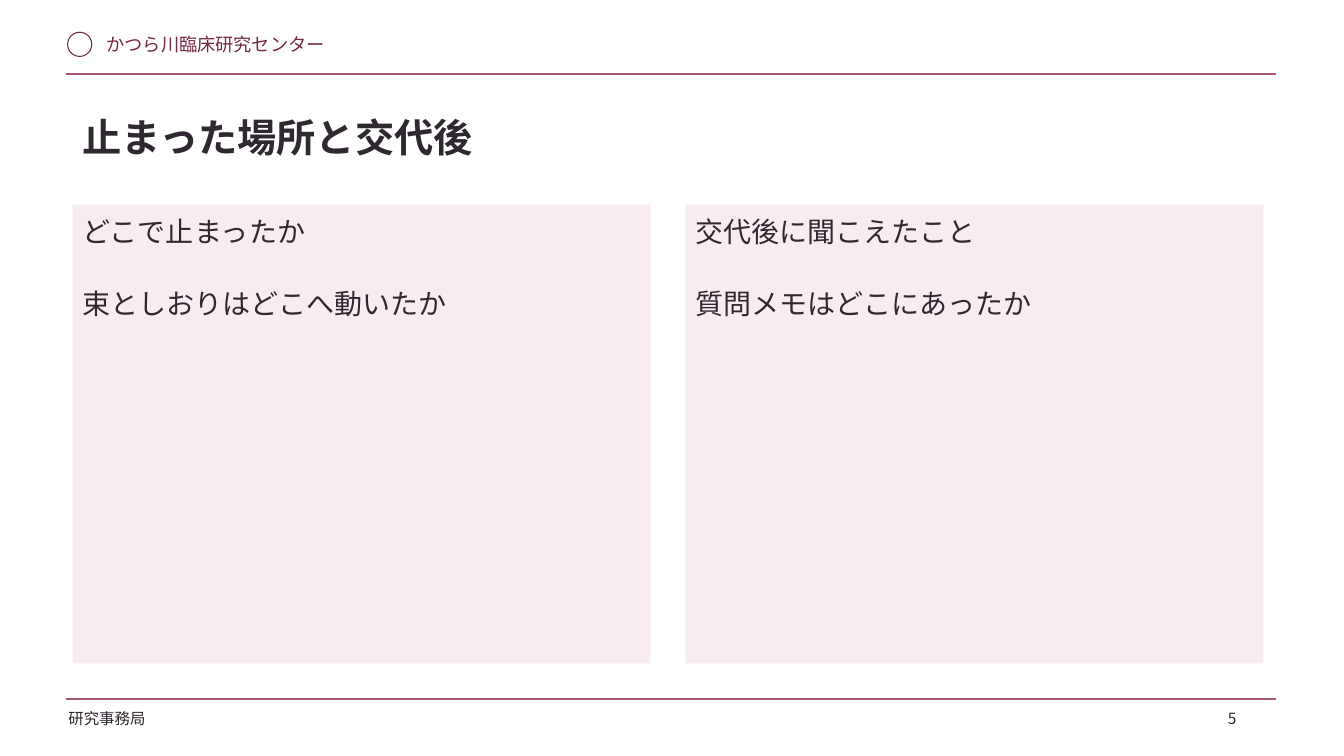
from lxml import etree
from pptx import Presentation
from pptx.dml.color import RGBColor
from pptx.enum.shapes import MSO_CONNECTOR, MSO_SHAPE
from pptx.enum.text import MSO_ANCHOR, MSO_AUTO_SIZE, PP_ALIGN
from pptx.oxml.ns import qn
from pptx.util import Inches, Pt

WINE = RGBColor(0x74, 0x27, 0x47)
ROSE = RGBColor(0xAB, 0x58, 0x6C)
BLUSH = RGBColor(0xF7, 0xED, 0xF1)
INK = RGBColor(0x30, 0x28, 0x30)
FONT = "Noto Sans CJK JP"
TOP = MSO_ANCHOR.TOP
LEFT = PP_ALIGN.LEFT
NO_AUTOFIT = MSO_AUTO_SIZE.NONE
OVAL = MSO_SHAPE.OVAL
STRAIGHT = MSO_CONNECTOR.STRAIGHT
TWO_CONTENT = 3
PANEL_LEFT, PANEL_STEP = 5.4, 45.6
PANELS = [
    ["どこで止まったか", "束としおりはどこへ動いたか"],
    ["交代後に聞こえたこと", "質問メモはどこにあったか"],
]


class SlideBuilder:
    """Draws styled elements on one slide, placed in percent of its size."""

    def __init__(self, deck):
        self.deck = deck
        self.page = deck.slides.add_slide(deck.slide_layouts[TWO_CONTENT])

    def area(self, left, top, width, height):
        across, down = self.deck.slide_width / 100, self.deck.slide_height / 100
        return [int(left * across), int(top * down), int(width * across), int(height * down)]

    def fill_text(self, box, lines, size, color=INK, bold=False, gap=0, inset=0.1):
        frame = box.text_frame
        frame_format = {
            "word_wrap": True, "auto_size": NO_AUTOFIT, "vertical_anchor": TOP,
            "margin_left": Inches(0.1), "margin_right": Inches(0.1),
            "margin_top": Inches(inset), "margin_bottom": Inches(inset),
        }
        for name, value in frame_format.items():
            setattr(frame, name, value)
        for index, line in enumerate(lines):
            para = frame.paragraphs[0] if index == 0 else frame.add_paragraph()
            para_format = {"alignment": LEFT, "line_spacing": 1.0,
                           "space_before": Pt(gap if index else 0)}
            for name, value in para_format.items():
                setattr(para, name, value)
            if box.is_placeholder:
                properties = para._p.get_or_add_pPr()
                properties.set("marL", "0")
                properties.set("indent", "0")
                etree.SubElement(properties, qn("a:buNone"))
            span = para.add_run()
            span.text = line
            for name, value in {"size": Pt(size), "bold": bold, "name": FONT}.items():
                setattr(span.font, name, value)
            span.font.color.rgb = color
            east_asian = etree.SubElement(span._r.get_or_add_rPr(), qn("a:ea"))
            east_asian.set("typeface", FONT)

    def placeholder(self, index, area, lines, size, fill=None, **style):
        box = self.page.placeholders[index]
        for name, value in zip(("left", "top", "width", "height"), self.area(*area)):
            setattr(box, name, value)
        if fill is not None:
            box.fill.solid()
            box.fill.fore_color.rgb = fill
        self.fill_text(box, lines, size, **style)

    def label(self, area, text, size, color=INK):
        box = self.page.shapes.add_textbox(*self.area(*area))
        self.fill_text(box, [text], size, color, inset=0.05)

    def ring(self, area, color):
        ring = self.page.shapes.add_shape(OVAL, *self.area(*area))
        ring.shadow.inherit = False
        ring.fill.background()
        ring.line.color.rgb = color
        ring.line.width = Pt(0.75)

    def rule(self, left, top, width):
        x, y, length, _ = self.area(left, top, width, 0)
        rule = self.page.shapes.add_connector(STRAIGHT, x, y, x + length, y)
        rule.line.color.rgb = ROSE
        rule.line.width = Pt(1)
        etree.SubElement(rule._element.spPr, qn("a:effectLst"))


def main():
    deck = Presentation()
    deck.slide_width, deck.slide_height = Inches(13.33), Inches(7.5)
    slide = SlideBuilder(deck)
    slide.ring((5.03, 4.27, 1.8, 3.2), WINE)
    slide.label((7.2, 3.73, 24.76, 4.67), "かつら川臨床研究センター", 13, WINE)
    for top in (9.8, 92.47):
        slide.rule(4.95, top, 90)
    slide.placeholder(0, (PANEL_LEFT, 13.6, 89.27, 10.8), ["止まった場所と交代後"], 28, bold=True)
    for index, lines in enumerate(PANELS):
        area = (PANEL_LEFT + index * PANEL_STEP, 27.07, 43, 60.67)
        slide.placeholder(index + 1, area, lines, 20, fill=BLUSH, gap=27.5)
    slide.label((4.35, 93.2, 13.5, 4.8), "研究事務局", 11)
    slide.label((90.62, 93.2, 4.88, 4), "5", 11)
    deck.save("out.pptx")


if __name__ == "__main__":
    main()
